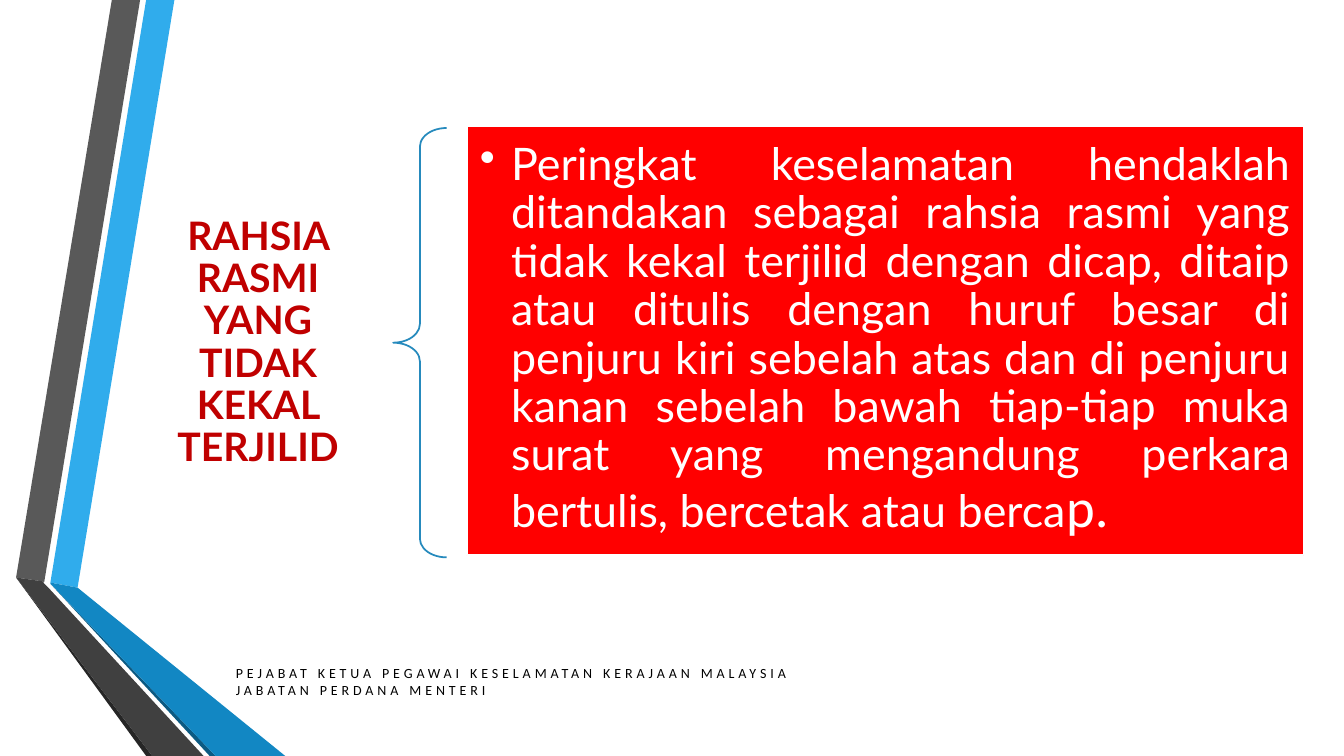
from lxml import etree
from pptx import Presentation
from pptx.dml.color import RGBColor
from pptx.enum.shapes import MSO_SHAPE
from pptx.enum.text import MSO_ANCHOR, PP_ALIGN
from pptx.oxml.ns import qn
from pptx.util import Pt

PX = 9144  # 100 px to the inch
BRACE, RECTANGLE = MSO_SHAPE.LEFT_BRACE, MSO_SHAPE.RECTANGLE
TOP, MIDDLE = MSO_ANCHOR.TOP, MSO_ANCHOR.MIDDLE
LEFT, CENTER, JUSTIFY = PP_ALIGN.LEFT, PP_ALIGN.CENTER, PP_ALIGN.JUSTIFY

WHITE = RGBColor(0xFF, 0xFF, 0xFF)
BLACK = RGBColor(0x00, 0x00, 0x00)
RED = RGBColor(0xFF, 0x00, 0x00)
DARK_RED = RGBColor(0xC0, 0x00, 0x00)
SKY = RGBColor(0x30, 0xAC, 0xEC)
BLUE = RGBColor(0x12, 0x87, 0xC3)
DEEP_BLUE = RGBColor(0x0C, 0x5A, 0x82)
BRACE_BLUE = RGBColor(0x26, 0x8A, 0xBD)
GREY = RGBColor(0x59, 0x59, 0x59)
DARK_GREY = RGBColor(0x40, 0x40, 0x40)
NEAR_BLACK = RGBColor(0x26, 0x26, 0x26)

deck = Presentation()
deck.slide_width, deck.slide_height = 1333 * PX, 750 * PX
page = deck.slides.add_slide(deck.slide_layouts[6])


def set_frame(box, anchor, side, upright):
    frame = box.text_frame
    settings = {"word_wrap": True, "vertical_anchor": anchor,
                "margin_left": side * PX, "margin_right": side * PX,
                "margin_top": upright * PX, "margin_bottom": upright * PX}
    for name, value in settings.items():
        setattr(frame, name, value)
    return frame


def add_span(para, text, font, size, color, bold=False):
    span = para.add_run()
    span.text = text
    settings = {"name": font, "size": Pt(size), "bold": bold}
    for name, value in settings.items():
        setattr(span.font, name, value)
    span.font.color.rgb = color
    return span


# Folded ribbons on the left edge
RIBBONS = [
    (SKY, [(50, 578), (77, 583), (173, 0), (145, 0)]),
    (GREY, [(139, 0), (111, 0), (16, 573), (44, 577)]),
    (NEAR_BLACK, [(16, 573), (145, 750), (151, 750)]),
    (DEEP_BLUE, [(50, 579), (208, 750), (214, 750)]),
    (BLUE, [(50, 579), (214, 750), (283, 750), (77, 583), (50, 578)]),
    (DARK_GREY, [(202, 750), (48, 583), (43, 578), (44, 577), (16, 573), (151, 750)]),
]
for color, points in RIBBONS:
    outline = page.shapes.build_freeform(*points[0], scale=PX)
    outline.add_line_segments(points[1:], close=True)
    ribbon = outline.convert_to_shape()
    ribbon.shadow.inherit = False
    ribbon.fill.solid()
    ribbon.fill.fore_color.rgb = color
    ribbon.line.fill.background()

# Topic
topic = page.shapes.add_textbox(123 * PX, 310 * PX, 266 * PX, 61 * PX)
para = set_frame(topic, MIDDLE, 22, 8).paragraphs[0]
para.alignment, para.line_spacing = CENTER, 0.9
add_span(para, "RAHSIA RASMI YANG TIDAK KEKAL TERJILID", "Lato", 28, DARK_RED, True)

# Brace
brace = page.shapes.add_shape(BRACE, 390 * PX, 127 * PX, 53 * PX, 426 * PX)
brace.adjustments[0], brace.adjustments[1] = 0.35, 0.5
brace.fill.background()

# Red panel with the rule
panel = page.shapes.add_shape(RECTANGLE, 463 * PX, 125 * PX, 830 * PX, 426 * PX)
panel.fill.solid()
panel.fill.fore_color.rgb = RED
for shape, color in ((brace, BRACE_BLUE), (panel, WHITE)):
    shape.shadow.inherit = False
    shape.line.color.rgb = color
    shape.line.width = Pt(1.25)

para = set_frame(panel, MIDDLE, 13, 13).paragraphs[0]
para.alignment, para.line_spacing = JUSTIFY, 0.9
properties = para._p.get_or_add_pPr()
properties.set("marL", str(31 * PX))
properties.set("indent", str(-31 * PX))
etree.SubElement(properties, qn("a:buChar")).set("char", "•")
add_span(para, "Peringkat keselamatan hendaklah ditandakan sebagai rahsia rasmi yang "
         "tidak kekal terjilid dengan dicap, ditaip atau ditulis dengan huruf besar "
         "di penjuru kiri sebelah atas dan di penjuru kanan sebelah bawah tiap-tiap "
         "muka surat yang mengandung perkara bertulis, bercetak atau berca",
         "Lato", 32, WHITE)
add_span(para, "p.", "Calibri", 39, WHITE)

# Footer
footer = page.shapes.add_textbox(224 * PX, 654 * PX, 668 * PX, 44 * PX)
frame = set_frame(footer, TOP, 10, 5)
FOOTER_LINES = ["PEJABAT KETUA PEGAWAI KESELAMATAN KERAJAAN MALAYSIA",
                "JABATAN PERDANA MENTERI"]
for index, line in enumerate(FOOTER_LINES):
    para = frame.add_paragraph() if index else frame.paragraphs[0]
    para.alignment = LEFT
    span = add_span(para, line, "Calibri", 10, BLACK)
    span._r.get_or_add_rPr().set("spc", "280")

deck.save("out.pptx")
